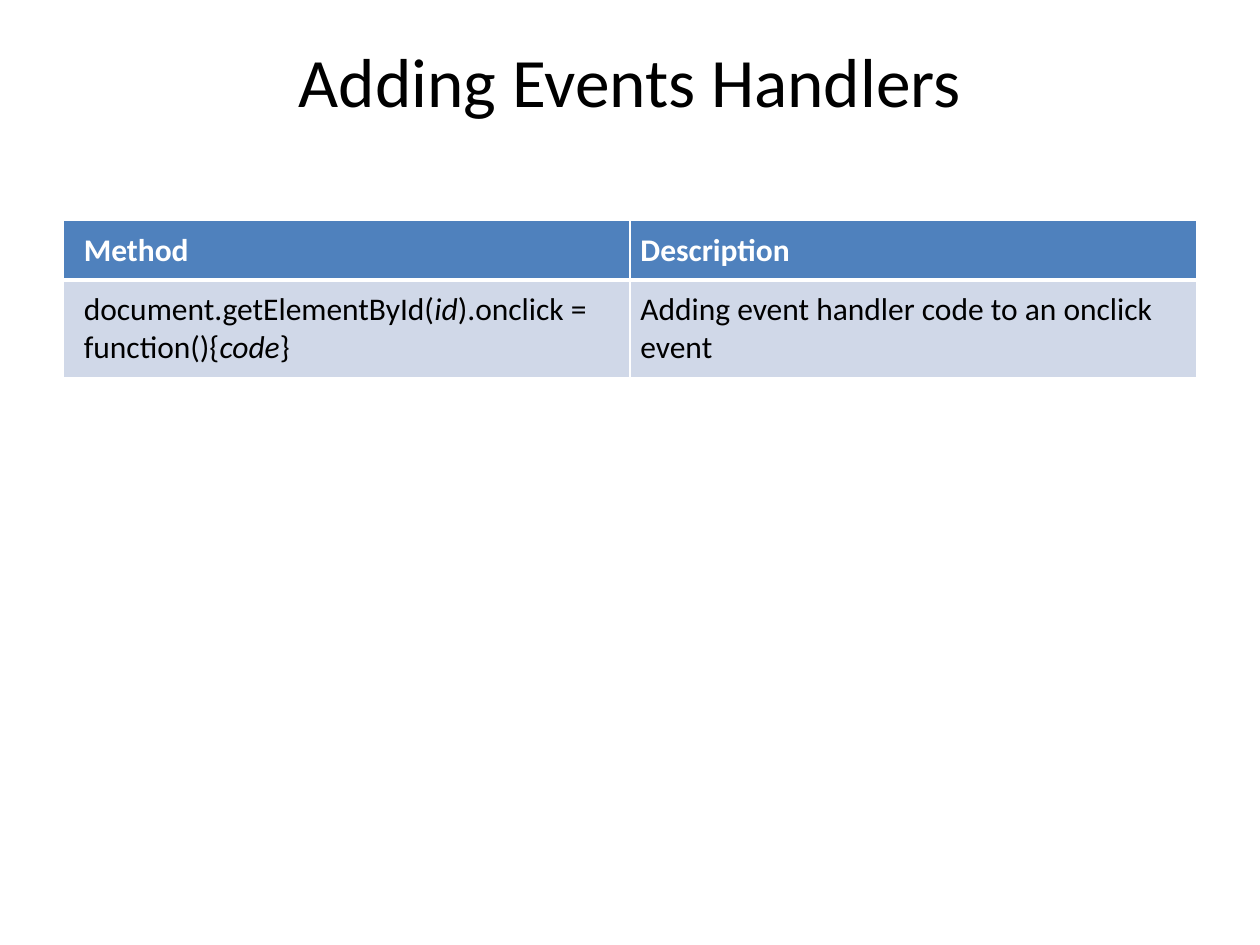
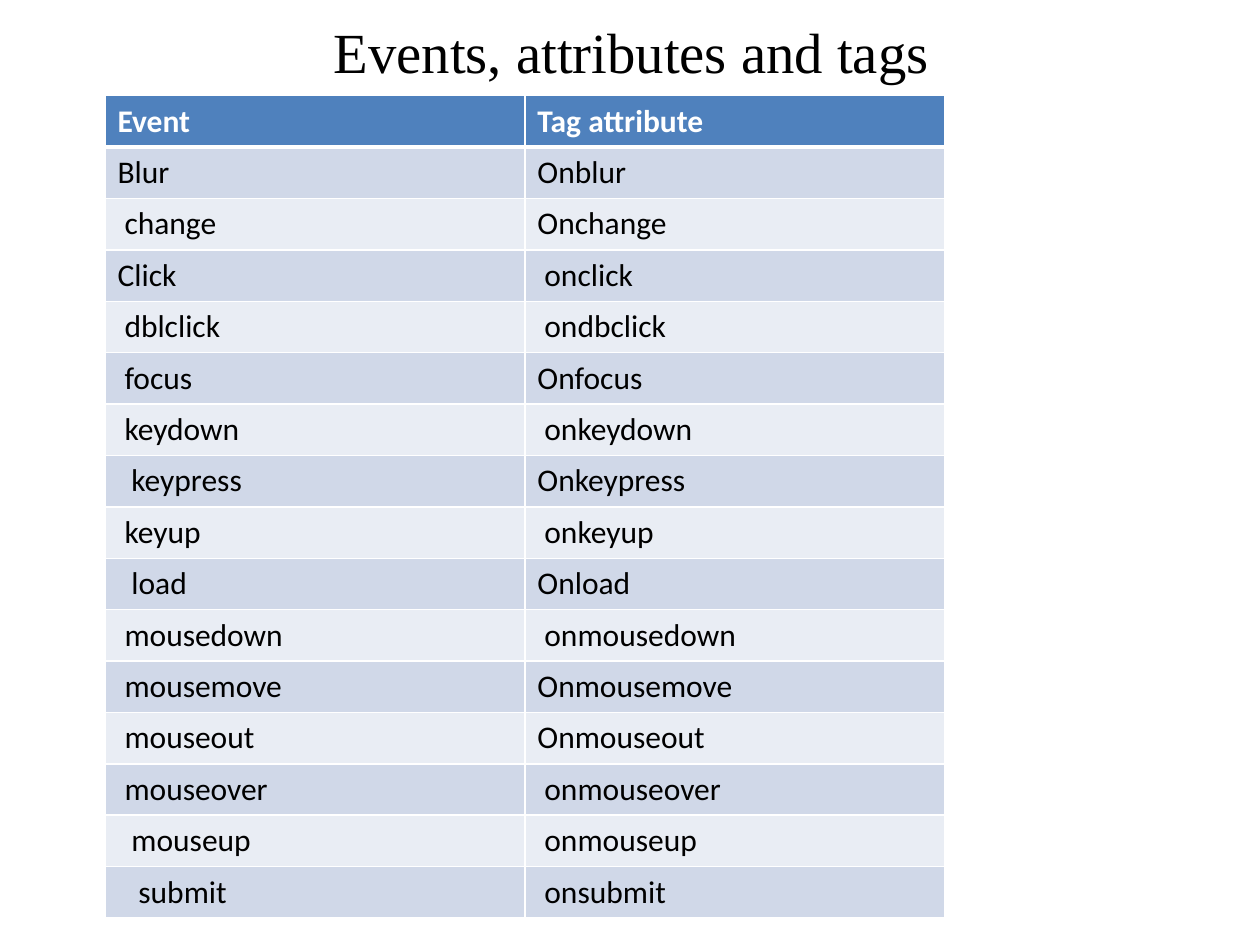
import dataclasses

import pptx
import pptx.dml.color
import pptx.enum.text
import pptx.oxml
import pptx.oxml.ns
import pptx.util

Cm = pptx.util.Cm
Pt = pptx.util.Pt
Anchor = pptx.enum.text.MSO_ANCHOR


@dataclasses.dataclass(frozen=True)
class Theme:
    font: str = "Calibri"
    serif: str = "Times New Roman"
    ink: str = "000000"
    white: str = "FFFFFF"
    header: str = "4F81BD"
    bands: tuple = ("D0D8E8", "E9EDF4")
    title_size: float = 39.6
    small_title_size: float = 32.4
    table_size: float = 18
    rule: float = 1
    header_rule: float = 3


@dataclasses.dataclass(frozen=True)
class Box:
    """A region of the slide, in centimetres."""
    left: float
    top: float
    width: float
    height: float

    def lengths(self):
        return [Cm(v) for v in (self.left, self.top, self.width, self.height)]


THEME = Theme()
SPACE_WIDTH = 0.14  # one blank of table text, in cm

# Each cell is a list of (text, italic) runs
HANDLER_ROWS = [
    ([("Method", False)], [("Description", False)]),
    ([("document.getElementById(", False), ("id", True),
      (").onclick = function(){", False), ("code", True), ("}", False)],
     [("Adding event handler code to an onclick event", False)]),
]

# Event, its indent step, tag attribute, its indent step
EVENTS = [
    ("Event", 0, "Tag attribute", 0),
    ("Blur", 0, "Onblur", 0),
    ("change", 1, "Onchange", 0),
    ("Click", 0, "onclick", 1),
    ("dblclick", 1, "ondbclick", 1),
    ("focus", 1, "Onfocus", 0),
    ("keydown", 1, "onkeydown", 1),
    ("keypress", 2, "Onkeypress", 0),
    ("keyup", 1, "onkeyup", 1),
    ("load", 2, "Onload", 0),
    ("mousedown", 1, "onmousedown", 1),
    ("mousemove", 1, "Onmousemove", 0),
    ("mouseout", 1, "Onmouseout", 0),
    ("mouseover", 1, "onmouseover", 1),
    ("mouseup", 2, "onmouseup", 1),
    ("submit", 3, "onsubmit", 1),
]


def rgb(value):
    return pptx.dml.color.RGBColor.from_string(value)


def add_run(paragraph, text, font, size, color, bold=False, italic=False):
    run = paragraph.add_run()
    run.text = text
    run.font.name = font
    run.font.size = Pt(size)
    run.font.color.rgb = rgb(color)
    run.font.bold = bold
    run.font.italic = italic


def set_title(slide, box, text, font, size, anchor):
    title = slide.shapes.title
    title.left, title.top, title.width, title.height = box.lengths()
    frame = title.text_frame
    frame.word_wrap = True
    frame.auto_size = pptx.enum.text.MSO_AUTO_SIZE.NONE
    frame.vertical_anchor = anchor
    frame.margin_top = frame.margin_bottom = 0
    paragraph = frame.paragraphs[0]
    paragraph.alignment = pptx.enum.text.PP_ALIGN.CENTER
    add_run(paragraph, text, font, size, THEME.ink)


def set_borders(cell, row):
    """Draw white rules, with a thicker one below the header."""
    widths = {
        "lnL": THEME.rule,
        "lnR": THEME.rule,
        "lnT": THEME.header_rule if row == 1 else THEME.rule,
        "lnB": THEME.header_rule if row == 0 else THEME.rule,
    }
    properties = cell._tc.get_or_add_tcPr()
    for position, (side, width) in enumerate(widths.items()):
        properties.insert(position, pptx.oxml.parse_xml(
            f'<a:{side} {pptx.oxml.ns.nsdecls("a")} w="{Pt(width)}">'
            f'<a:solidFill><a:srgbClr val="{THEME.white}"/></a:solidFill>'
            f'</a:{side}>'))


def add_banded_table(slide, box, row_heights, rows, margins, indents=None):
    """Fill the box with a two-column table; margins are left per column and vertical."""
    lefts, right, vertical = margins
    columns = len(lefts)
    table = slide.shapes.add_table(len(rows), columns, *box.lengths()).table
    for column in table.columns:
        column.width = Cm(box.width / columns)
    for row, cells in enumerate(rows):
        table.rows[row].height = Cm(row_heights[row])
        is_header = row == 0
        for column, runs in enumerate(cells):
            cell = table.cell(row, column)
            indent = indents[row][column] * SPACE_WIDTH if indents else 0
            cell.margin_left = Cm(lefts[column] + indent)
            cell.margin_right = Cm(right)
            cell.margin_top = cell.margin_bottom = Cm(vertical)
            cell.fill.solid()
            cell.fill.fore_color.rgb = rgb(
                THEME.header if is_header else THEME.bands[(row - 1) % 2])
            set_borders(cell, row)
            for text, italic in runs:
                add_run(cell.text_frame.paragraphs[0], text, THEME.font,
                        THEME.table_size, THEME.white if is_header else THEME.ink,
                        bold=is_header, italic=italic)


def build_handlers_slide(slide):
    set_title(slide, Box(1.27, 0.76, 22.86, 3.18), "Adding Events Handlers",
              THEME.font, THEME.title_size, Anchor.TOP)
    add_banded_table(slide, Box(1.27, 4.45, 22.86, 3.12), [1.17, 1.95],
                     HANDLER_ROWS, ((0.42, 0.21), 0.21, 0.21))


def build_events_slide(slide):
    set_title(slide, Box(1.3, 0.53, 22.86, 0.99), "Events, attributes and tags",
              THEME.serif, THEME.small_title_size, Anchor.MIDDLE)
    box = Box(2.12, 1.93, 16.93, 16.48)
    rows = [([(event, False)], [(attribute, False)])
            for event, _, attribute, _ in EVENTS]
    indents = [(first, second) for _, first, _, second in EVENTS]
    add_banded_table(slide, box, [box.height / len(rows)] * len(rows),
                     rows, ((0.25, 0.25), 0.25, 0.13), indents)


def main():
    presentation = pptx.Presentation()
    presentation.slide_width = Cm(25.4)
    presentation.slide_height = Cm(19.05)
    title_only = presentation.slide_layouts[5]
    for build in (build_handlers_slide, build_events_slide):
        build(presentation.slides.add_slide(title_only))
    presentation.save("out.pptx")


if __name__ == "__main__":
    main()
